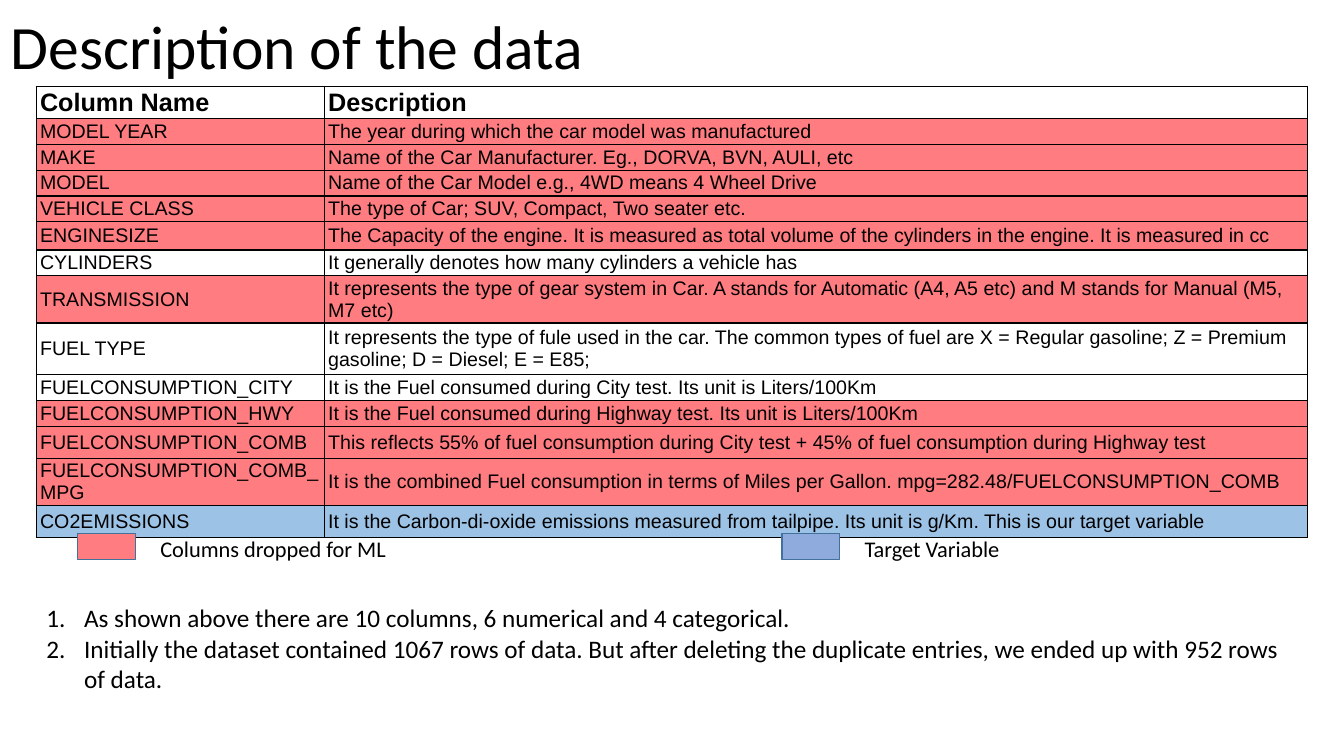
"""Build the slide that describes the columns of the vehicle emissions data."""
from lxml import etree
from pptx import Presentation
from pptx.dml.color import RGBColor
from pptx.enum.shapes import MSO_SHAPE
from pptx.enum.text import MSO_ANCHOR
from pptx.oxml.ns import qn
from pptx.util import Cm, Pt

RECTANGLE = MSO_SHAPE.RECTANGLE
TOP, MIDDLE = MSO_ANCHOR.TOP, MSO_ANCHOR.MIDDLE

BLACK = RGBColor(0x00, 0x00, 0x00)
WHITE = RGBColor(0xFF, 0xFF, 0xFF)
DROPPED = RGBColor(0xFF, 0x7C, 0x80)
TARGET = RGBColor(0x9C, 0xC2, 0xE5)
TARGET_KEY = RGBColor(0x8F, 0xAA, 0xDC)
KEY_LINE = RGBColor(0x42, 0x71, 0x9B)

TITLE = "Description of the data"
HEADER = ("Column Name", "Description", None, 0.81)
ROWS = [
    ("MODEL YEAR", "The year during which the car model was manufactured", DROPPED, 0.65),
    ("MAKE", "Name of the Car Manufacturer. Eg., DORVA, BVN, AULI, etc", DROPPED, 0.65),
    ("MODEL", "Name of the Car Model e.g., 4WD means 4 Wheel Drive", DROPPED, 0.65),
    ("VEHICLE CLASS", "The type of Car; SUV, Compact, Two seater etc.", DROPPED, 0.65),
    ("ENGINESIZE", "The Capacity of the engine. It is measured as total volume of the "
     "cylinders in the engine. It is measured in cc", DROPPED, 0.71),
    ("CYLINDERS", "It generally denotes how many cylinders a vehicle has", None, 0.65),
    ("TRANSMISSION", "It represents the type of gear system in Car. A stands for Automatic "
     "(A4, A5 etc) and M stands for Manual (M5, M7 etc)", DROPPED, 1.19),
    ("FUEL TYPE", "It represents the type of fule used in the car. The common types of fuel "
     "are X = Regular gasoline; Z = Premium gasoline; D = Diesel; E = E85;", None, 1.3),
    ("FUELCONSUMPTION_CITY", "It is the Fuel consumed during City test. "
     "Its unit is Liters/100Km", WHITE, 0.65),
    ("FUELCONSUMPTION_HWY", "It is the Fuel consumed during Highway test. "
     "Its unit is Liters/100Km", DROPPED, 0.65),
    ("FUELCONSUMPTION_COMB", "This reflects 55% of fuel consumption during City test + "
     "45% of fuel consumption during Highway test", DROPPED, 0.81),
    ("FUELCONSUMPTION_COMB_MPG", "It is the combined Fuel consumption in terms of Miles per "
     "Gallon. mpg=282.48/FUELCONSUMPTION_COMB", DROPPED, 1.19),
    ("CO2EMISSIONS", "It is the Carbon-di-oxide emissions measured from tailpipe. "
     "Its unit is g/Km. This is our target variable", TARGET, 0.81),
]
COLUMN_WIDTHS = (7.26, 24.77)
KEYS = [
    ("Columns dropped for ML", DROPPED, 1.96),
    ("Target Variable", TARGET_KEY, 19.71),
]
NOTES = [
    "As shown above there are 10 columns, 6 numerical and 4 categorical.",
    "Initially the dataset contained 1067 rows of data. But after deleting the duplicate "
    "entries, we ended up with 952 rows of data.",
]


def add_run(paragraph, text, size, font, bold=False):
    run = paragraph.add_run()
    run.text = text
    run.font.name = font
    run.font.size = Pt(size)
    run.font.bold = bold
    run.font.color.rgb = BLACK


def add_text(slide, box, lines, size, anchor=TOP, numbered=False):
    shape = slide.shapes.add_textbox(*(Cm(length) for length in box))
    frame = shape.text_frame
    frame.word_wrap = True
    frame.vertical_anchor = anchor
    for index, line in enumerate(lines):
        paragraph = frame.add_paragraph() if index else frame.paragraphs[0]
        if numbered:
            properties = paragraph._p.get_or_add_pPr()
            properties.set("marL", str(Cm(0.95)))
            properties.set("indent", str(-Cm(0.95)))
            etree.SubElement(properties, qn("a:buFont"), typeface="+mj-lt")
            etree.SubElement(properties, qn("a:buAutoNum"), type="arabicPeriod")
        add_run(paragraph, line, size, "Calibri")
    return frame


def add_borders(cell):
    properties = cell._tc.get_or_add_tcPr()
    for side in ("lnL", "lnR", "lnT", "lnB"):
        line = etree.SubElement(properties, qn(f"a:{side}"), w=str(Pt(1)))
        fill = etree.SubElement(line, qn("a:solidFill"))
        etree.SubElement(fill, qn("a:srgbClr"), val=str(BLACK))


def add_data_table(slide):
    rows = [HEADER] + ROWS
    height = sum(row[3] for row in rows)
    table = slide.shapes.add_table(len(rows), len(COLUMN_WIDTHS), Cm(0.92), Cm(2.18),
                                   Cm(sum(COLUMN_WIDTHS)), Cm(height)).table
    table.first_row = False
    table.horz_banding = False
    for column, width in zip(table.columns, COLUMN_WIDTHS):
        column.width = Cm(width)
    for index, (name, description, color, row_height) in enumerate(rows):
        table.rows[index].height = Cm(row_height)
        is_header = index == 0
        for cell, text in zip(table.rows[index].cells, (name, description)):
            cell.margin_left = cell.margin_right = Cm(0.09)
            cell.margin_top = cell.margin_bottom = Cm(0)
            cell.vertical_anchor = MIDDLE
            add_borders(cell)
            if color is None:
                cell.fill.background()
            else:
                cell.fill.solid()
                cell.fill.fore_color.rgb = color
            add_run(cell.text_frame.paragraphs[0], text, 18 if is_header else 14,
                    "Arial", is_header)


def add_key(slide, label, color, left):
    swatch = slide.shapes.add_shape(RECTANGLE, Cm(left), Cm(13.44), Cm(1.45), Cm(0.66))
    swatch.shadow.inherit = False
    swatch.fill.solid()
    swatch.fill.fore_color.rgb = color
    swatch.line.color.rgb = KEY_LINE
    swatch.line.width = Pt(1)
    add_text(slide, (left + 1.83, 13.36, 8.53, 0.94), [label], 16)


def main():
    presentation = Presentation()
    presentation.slide_width = Cm(33.87)
    presentation.slide_height = Cm(19.05)
    slide = presentation.slides.add_slide(presentation.slide_layouts[6])
    title = add_text(slide, (0.02, 0, 33.85, 2.49), [TITLE], 44, MIDDLE)
    title.paragraphs[0].line_spacing = 0.9
    add_data_table(slide)
    add_text(slide, (0.92, 15.06, 32.03, 2.57), NOTES, 18, numbered=True)
    for key in KEYS:
        add_key(slide, *key)
    presentation.save("out.pptx")


if __name__ == "__main__":
    main()
